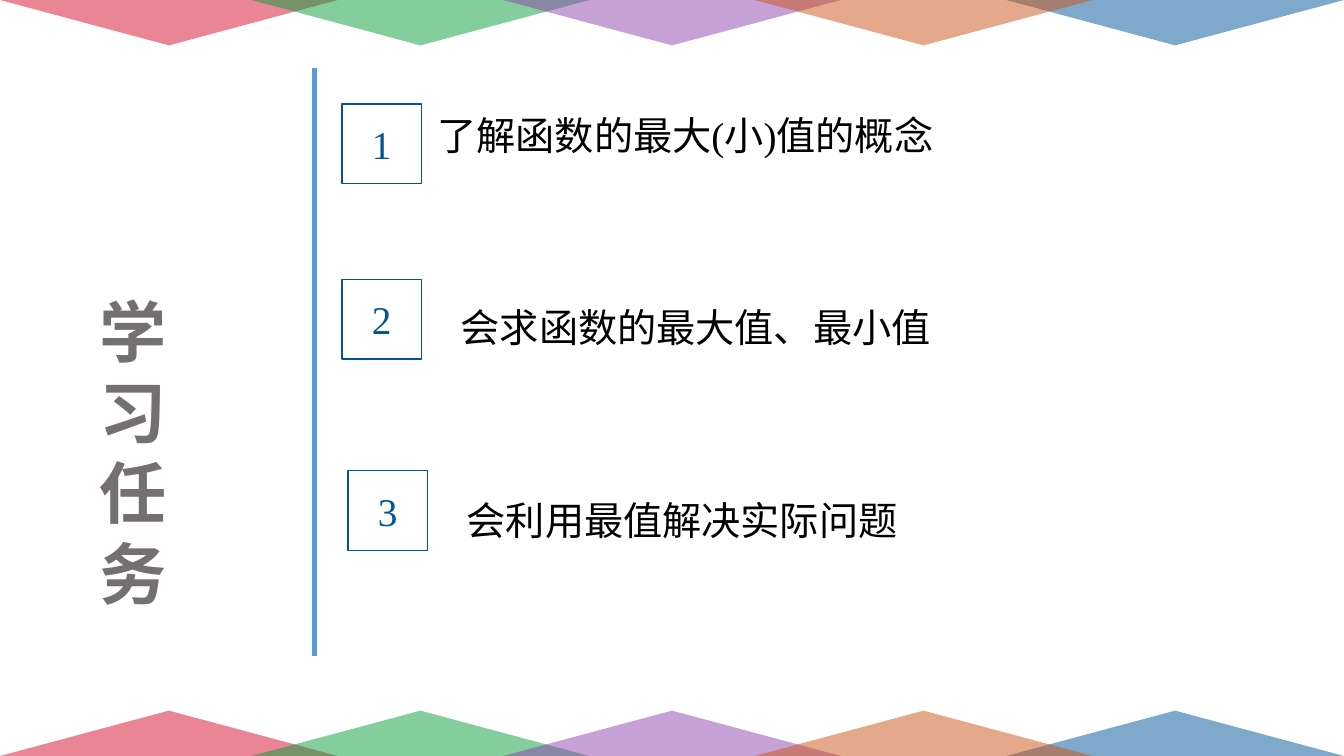
from dataclasses import dataclass

from lxml import etree
from pptx import Presentation
from pptx.dml.color import RGBColor
from pptx.enum.shapes import MSO_CONNECTOR, MSO_SHAPE
from pptx.enum.text import MSO_ANCHOR, PP_ALIGN
from pptx.oxml.ns import qn
from pptx.slide import Slide
from pptx.text.text import TextFrame
from pptx.util import Inches, Pt

TRIANGLE, RECTANGLE = MSO_SHAPE.ISOSCELES_TRIANGLE, MSO_SHAPE.RECTANGLE
STRAIGHT = MSO_CONNECTOR.STRAIGHT
MIDDLE = MSO_ANCHOR.MIDDLE
LEFT, CENTER, JUSTIFY = PP_ALIGN.LEFT, PP_ALIGN.CENTER, PP_ALIGN.JUSTIFY

RED = RGBColor(0xD5, 0x0D, 0x2A)
GREEN = RGBColor(0x09, 0x9F, 0x3B)
PURPLE = RGBColor(0x8D, 0x44, 0xAD)
ORANGE = RGBColor(0xCB, 0x55, 0x18)
BLUE = RGBColor(0x00, 0x55, 0x96)
DIVIDER_BLUE = RGBColor(0x5B, 0x9B, 0xD5)
GRAY = RGBColor(0x75, 0x70, 0x70)
BLACK = RGBColor(0, 0, 0)

SLIDE_WIDTH, SLIDE_HEIGHT = 13.33, 7.5
PEAK_WIDTH, PEAK_HEIGHT = 3.35, 0.45
PEAK_COLORS = (RED, GREEN, PURPLE, ORANGE, BLUE)
PEAK_STEP = (SLIDE_WIDTH - PEAK_WIDTH) / (len(PEAK_COLORS) - 1)
PEAK_DRAW_ORDER = (0, 4, 1, 2, 3)
BADGE_SIZE = 0.79

TITLE_FONT = {"name": "Roboto", "size": Pt(48), "bold": True}
BODY_FONT = {"name": "Times New Roman", "size": Pt(28)}
WIDE_MARGINS = {
    "margin_left": Inches(0.13), "margin_right": Inches(0.13),
    "margin_top": Inches(0.07), "margin_bottom": Inches(0.07),
}
LOOSE_LINES = {"alignment": JUSTIFY, "line_spacing": 1.5}


@dataclass(frozen=True)
class Box:
    left: float
    top: float
    width: float
    height: float

    def lengths(self) -> tuple:
        return tuple(Inches(v) for v in (self.left, self.top, self.width, self.height))


@dataclass(frozen=True)
class Task:
    badge_left: float
    badge_top: float
    text: str
    text_box: Box
    frame_format: dict
    paragraph_format: dict


TASKS = (
    Task(3.39, 1.03, "了解函数的最大(小)值的概念", Box(4.24, 1.06, 6.67, 0.57),
         {}, {"alignment": LEFT}),
    Task(3.39, 2.77, "会求函数的最大值、最小值", Box(4.44, 2.71, 11.27, 0.84),
         WIDE_MARGINS, LOOSE_LINES),
    Task(3.45, 4.67, "会利用最值解决实际问题", Box(4.5, 4.62, 11.27, 0.84),
         WIDE_MARGINS, LOOSE_LINES),
)


def apply_format(target: object, values: dict) -> None:
    for name, value in values.items():
        setattr(target, name, value)


def write_text(frame: TextFrame, text: str, font: dict, color: RGBColor,
               paragraph_format: dict) -> None:
    frame.word_wrap = True
    paragraph = frame.paragraphs[0]
    apply_format(paragraph, paragraph_format)
    run = paragraph.add_run()
    run.text = text
    apply_format(run.font, font)
    run.font.color.rgb = color


def add_peak(slide: Slide, index: int, top: float, rotation: int) -> None:
    """Add one half-transparent triangle of a border band."""
    box = Box(index * PEAK_STEP, top, PEAK_WIDTH, PEAK_HEIGHT)
    peak = slide.shapes.add_shape(TRIANGLE, *box.lengths())
    peak.rotation = rotation
    peak.shadow.inherit = False
    peak.line.fill.background()
    peak.fill.solid()
    peak.fill.fore_color.rgb = PEAK_COLORS[index]
    color = peak.fill._xPr.find(qn("a:solidFill"))[0]
    etree.SubElement(color, qn("a:alpha"), val="50000")


def add_title(slide: Slide) -> None:
    title = slide.shapes.add_textbox(*Box(0.63, 2.83, 1.38, 3.33).lengths())
    write_text(title.text_frame, "学习任务", TITLE_FONT, GRAY, {"alignment": CENTER})


def add_divider(slide: Slide) -> None:
    x = Inches(3.12)
    divider = slide.shapes.add_connector(STRAIGHT, x, Inches(0.67), x, Inches(6.51))
    divider.line.color.rgb = DIVIDER_BLUE
    divider.line.width = Pt(3)
    etree.SubElement(divider._element.spPr, qn("a:effectLst"))


def add_task(slide: Slide, number: int, task: Task) -> None:
    """Add a numbered badge and the task beside it."""
    badge_box = Box(task.badge_left, task.badge_top, BADGE_SIZE, BADGE_SIZE)
    badge = slide.shapes.add_shape(RECTANGLE, *badge_box.lengths())
    badge.shadow.inherit = False
    badge.fill.background()
    badge.line.color.rgb = BLUE
    badge.line.width = Pt(1)
    badge.text_frame.vertical_anchor = MIDDLE
    write_text(badge.text_frame, str(number), BODY_FONT, BLUE, {"alignment": CENTER})

    description = slide.shapes.add_textbox(*task.text_box.lengths())
    apply_format(description.text_frame, task.frame_format)
    write_text(description.text_frame, task.text, BODY_FONT, BLACK, task.paragraph_format)


def main() -> None:
    presentation = Presentation()
    presentation.slide_width = Inches(SLIDE_WIDTH)
    presentation.slide_height = Inches(SLIDE_HEIGHT)
    slide = presentation.slides.add_slide(presentation.slide_layouts[6])

    for top, rotation in ((SLIDE_HEIGHT - PEAK_HEIGHT, 0), (0, 180)):
        for index in PEAK_DRAW_ORDER:
            add_peak(slide, index, top, rotation)
    add_title(slide)
    add_divider(slide)
    for number, task in enumerate(TASKS, start=1):
        add_task(slide, number, task)

    presentation.save("out.pptx")


if __name__ == "__main__":
    main()
